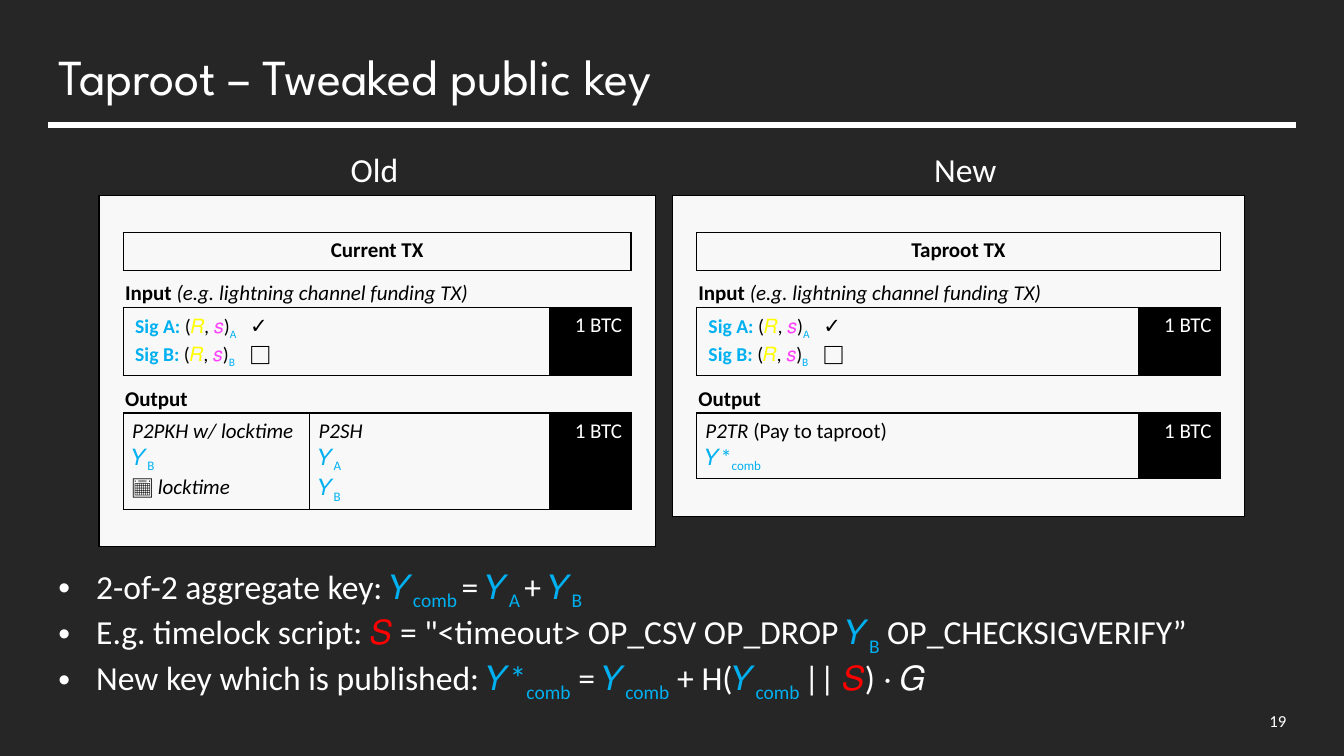
from collections import defaultdict

from lxml.etree import SubElement
from pptx import Presentation
from pptx.dml.color import RGBColor
from pptx.enum.shapes import MSO_CONNECTOR
from pptx.enum.text import MSO_ANCHOR, PP_ALIGN
from pptx.oxml.ns import qn
from pptx.util import Pt

COLORS = {
    "background": "262626", "white": "FFFFFF", "black": "000000",
    "panel": "F8F8F8", "key": "00B0F0", "nonce": "FFFF00",
    "signature": "FF40FF", "script": "FF0000",
}
NO_GRID_STYLE = "{2D5ABB26-0587-4C30-8999-92F81FD0307C}"
ROW_COUNT, COLUMN_COUNT = 7, 6
KEY = {"color": "key"}
SUBSCRIPT = {"color": "key", "subscript": True}
SCRIPT = {"color": "script"}
BOLD = {"bold": True}
ITALIC = {"italic": True}


def rgb(name):
    return RGBColor.from_string(COLORS[name])


def add_run(paragraph, text, size=15, color="black", bold=False, italic=False,
            subscript=False, font="Calibri"):
    run = paragraph.add_run()
    run.text = text
    run.font.name = font
    run.font.size = Pt(size)
    run.font.bold = bold
    run.font.italic = italic
    run.font.color.rgb = rgb(color)
    if subscript:
        run.font._element.set("baseline", "-25000")


def fill_lines(text_frame, lines, alignment=PP_ALIGN.LEFT, bullet=False, tab=None, **base):
    for index, line in enumerate(lines):
        paragraph = text_frame.paragraphs[0] if index == 0 else text_frame.add_paragraph()
        paragraph.alignment = alignment
        properties = paragraph._p.get_or_add_pPr()
        if bullet:
            properties.set("marL", str(Pt(27)))
            properties.set("indent", str(-Pt(27)))
            SubElement(properties, qn("a:buFont"), typeface="Arial")
            SubElement(properties, qn("a:buChar"), char="•")
        if tab:
            tab_list = SubElement(properties, qn("a:tabLst"))
            SubElement(tab_list, qn("a:tab"), pos=str(Pt(tab)), algn="l")
        for text, style in line:
            add_run(paragraph, text, **{**base, **style})


def add_text(slide, box, lines, anchor=MSO_ANCHOR.TOP, wrap=True, **style):
    shape = slide.shapes.add_textbox(*map(Pt, box))
    shape.text_frame.word_wrap = wrap
    shape.text_frame.vertical_anchor = anchor
    fill_lines(shape.text_frame, lines, color="white", **style)


def public_key(letter, owner, **style):
    return [(letter, {**KEY, **style}), (owner, {**SUBSCRIPT, **style})]


def signature_line(owner, mark):
    small = {"size": 14}
    return [
        (f"Sig {owner}: ", {**small, **KEY, **BOLD}), ("(", small),
        ("𝑅", {**small, "color": "nonce"}), (", ", {**small, **ITALIC}),
        ("𝑠", {**small, "color": "signature"}), (")", small),
        (owner, {**small, **SUBSCRIPT}), (f"\t{mark}", BOLD),
    ]


def outline_sides(boxes):
    sides = defaultdict(set)
    for top, bottom, first, last in boxes:
        for row in range(top, bottom + 1):
            sides[row, first].add("L")
            sides[row, first - 1].add("R")
            sides[row, last].add("R")
            sides[row, last + 1].add("L")
        for column in range(first, last + 1):
            sides[top, column].add("T")
            sides[top - 1, column].add("B")
            sides[bottom, column].add("B")
            sides[bottom + 1, column].add("T")
    return sides


def style_cell(cell, sides, fill):
    properties = cell._tc.get_or_add_tcPr()
    for side in "LRTB":
        if side in sides:
            line = SubElement(properties, qn(f"a:ln{side}"), w=str(Pt(1)))
            solid = SubElement(line, qn("a:solidFill"))
            SubElement(solid, qn("a:srgbClr"), val=COLORS["black"])
    cell.fill.solid()
    cell.fill.fore_color.rgb = rgb(fill)


def write_cell(cell, lines, inset, anchor=MSO_ANCHOR.TOP, **style):
    cell.margin_left = cell.margin_right = Pt(inset[0])
    cell.margin_top = cell.margin_bottom = Pt(inset[1])
    cell.vertical_anchor = anchor
    fill_lines(cell.text_frame, lines, **style)


def add_transaction(slide, left, top, script_width, output_height, title, outputs):
    widths = [17.28, script_width, 118.08, 53.28, 58.32, 17.28]
    heights = [26.64, 26.64, 26.64, 46.08, 26.64, output_height, 26.64]
    frame = slide.shapes.add_table(ROW_COUNT, COLUMN_COUNT, Pt(left), Pt(top),
                                   Pt(sum(widths)), Pt(sum(heights)))
    table = frame.table
    table.first_row = table.horz_banding = False
    table._tbl.tblPr.find(qn("a:tableStyleId")).text = NO_GRID_STYLE
    for column, width in zip(table.columns, widths):
        column.width = Pt(width)
    for row, height in zip(table.rows, heights):
        row.height = Pt(height)

    amounts = [(3, 4), (5, 4)]
    boxes = [(0, 6, 0, 5), (1, 1, 1, 4), (3, 3, 1, 3)]
    boxes += [(5, 5, first, last) for first, last, _ in outputs]
    boxes += [(row, row, column, column) for row, column in amounts]
    sides = outline_sides(boxes)
    for row in range(ROW_COUNT):
        for column in range(COLUMN_COUNT):
            cell = table.cell(row, column)
            cell.margin_left = cell.margin_right = cell.margin_top = cell.margin_bottom = 0
            style_cell(cell, sides[row, column],
                       "black" if (row, column) in amounts else "panel")

    normal, label = (6.48, 3.6), (1.44, 0.72)
    contents = [
        (1, 1, 4, [[(title, BOLD)]], {"inset": normal, "alignment": PP_ALIGN.CENTER}),
        (2, 1, 4, [[("Input ", BOLD), ("(e.g. lightning channel funding TX)", ITALIC)]],
         {"inset": label, "anchor": MSO_ANCHOR.BOTTOM}),
        (3, 1, 3, [signature_line("A", "✓"), signature_line("B", "⬜")],
         {"inset": (8.64, 4.32), "tab": 82}),
        (4, 1, 4, [[("Output", BOLD)]], {"inset": label, "anchor": MSO_ANCHOR.BOTTOM}),
    ]
    contents += [(5, first, last, lines, {"inset": normal}) for first, last, lines in outputs]
    contents += [(row, column, column, [[("1 BTC", {"color": "white"})]],
                  {"inset": normal, "alignment": PP_ALIGN.RIGHT}) for row, column in amounts]
    for row, first, last, lines, style in contents:
        cell = table.cell(row, first)
        if last > first:
            cell.merge(table.cell(row, last))
        write_cell(cell, lines, **style)


def add_header(slide, left, top, width):
    add_text(slide, (left, top, width, 50.4), [[("Taproot – Tweaked public key", {})]],
             anchor=MSO_ANCHOR.MIDDLE, size=36, font="League Spartan")
    rule_top = Pt(top + 60.5)
    rule = slide.shapes.add_connector(MSO_CONNECTOR.STRAIGHT, Pt(left), rule_top,
                                      Pt(left + width), rule_top)
    rule.line.color.rgb = rgb("white")
    rule.line.width = Pt(4.5)
    SubElement(rule._element.spPr, qn("a:effectLst"))


def add_comparison(slide, top):
    for left, width, heading in [(243.4, 49, "Old"), (660.2, 60, "New")]:
        add_text(slide, (left, top, width, 36), [[(heading, {})]], wrap=False, size=24)
    key_b = public_key("𝑌", "B", size=16)
    add_transaction(slide, 70.7, top + 36.7, 133.2, 62, "Current TX", [
        (1, 1, [[("P2PKH w/ locktime", ITALIC)], key_b,
                [("📅 ", BOLD), ("locktime", ITALIC)]]),
        (2, 3, [[("P2SH", ITALIC)], public_key("𝑌", "A", size=16), key_b]),
    ])
    add_transaction(slide, 480.2, top + 36.7, 144.72, 43.2, "Taproot TX", [
        (1, 3, [[("P2TR ", ITALIC), ("(Pay to taproot)", {})],
                public_key("𝑌*", "comb", size=16)]),
    ])


def add_key_formulas(slide, box):
    lines = [
        [("2-of-2 aggregate key:", {}), *public_key(" 𝑌", "comb "), ("= ", {}),
         *public_key("𝑌", "A "), ("+ ", {}), *public_key("𝑌", "B")],
        [("E.g. timelock script: ", {}), ("𝑆", SCRIPT),
         (' = "<timeout> OP_CSV OP_DROP ', {}), *public_key("𝑌", "B"),
         (" OP_CHECKSIGVERIFY”", {})],
        [("New key which is published: ", {}), *public_key("𝑌*", "comb"), (" = ", {}),
         *public_key("𝑌", "comb"), (" + H(", {}), *public_key("𝑌", "comb "),
         ("||", {}), (" 𝑆", SCRIPT), (") ⋅ 𝐺", {})],
    ]
    add_text(slide, box, lines, wrap=False, bullet=True, size=24)


def main():
    presentation = Presentation()
    presentation.slide_width, presentation.slide_height = Pt(960), Pt(540)
    slide = presentation.slides.add_slide(presentation.slide_layouts[6])
    slide.background.fill.solid()
    slide.background.fill.fore_color.rgb = rgb("background")
    add_header(slide, 34.6, 28.8, 891)
    add_comparison(slide, 103)
    add_key_formulas(slide, (34.6, 400.3, 823.7, 94.3))
    add_text(slide, (848.9, 500.4, 77, 28.8), [[("19", {})]], anchor=MSO_ANCHOR.MIDDLE,
             alignment=PP_ALIGN.RIGHT, size=12)
    presentation.save("out.pptx")


if __name__ == "__main__":
    main()
